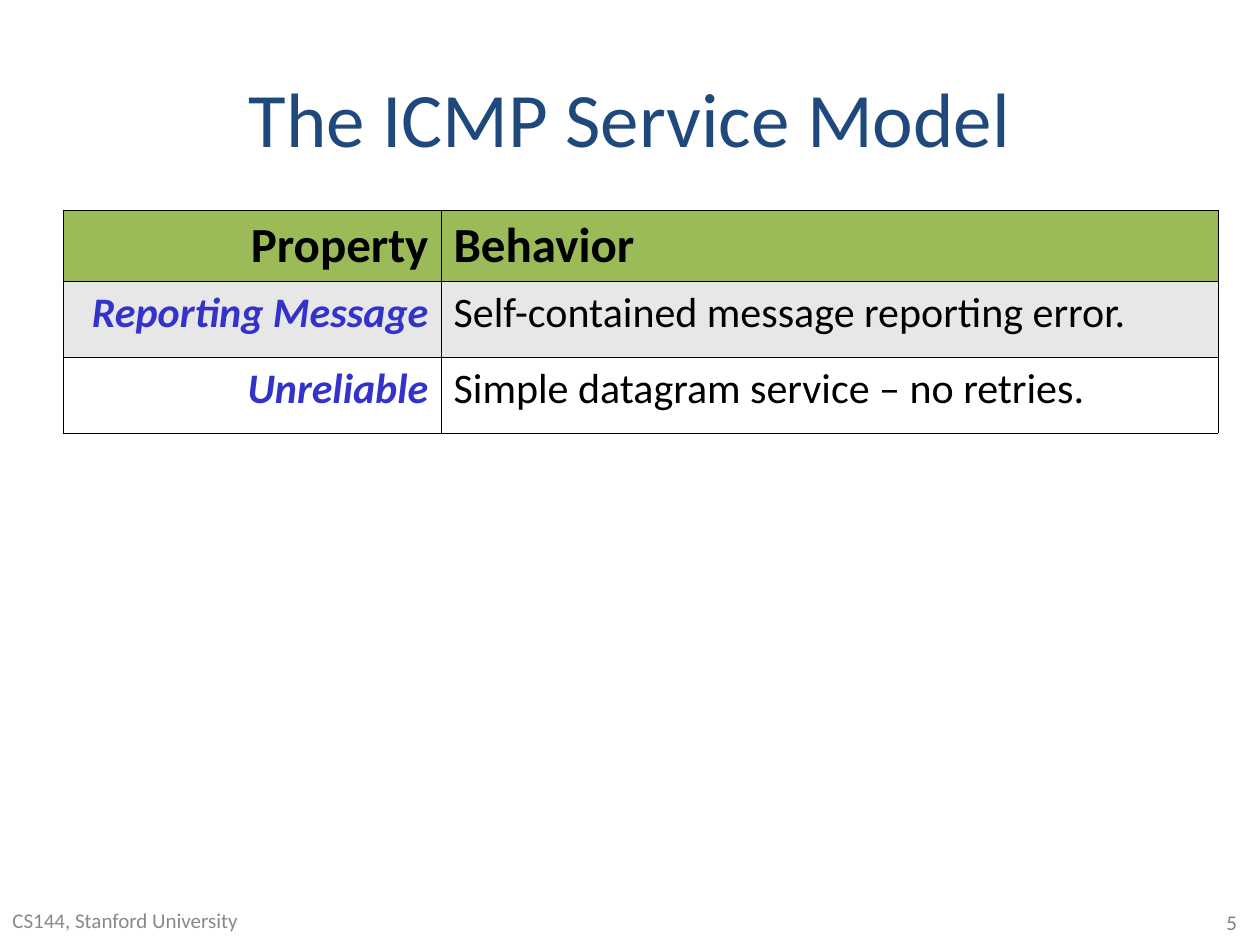
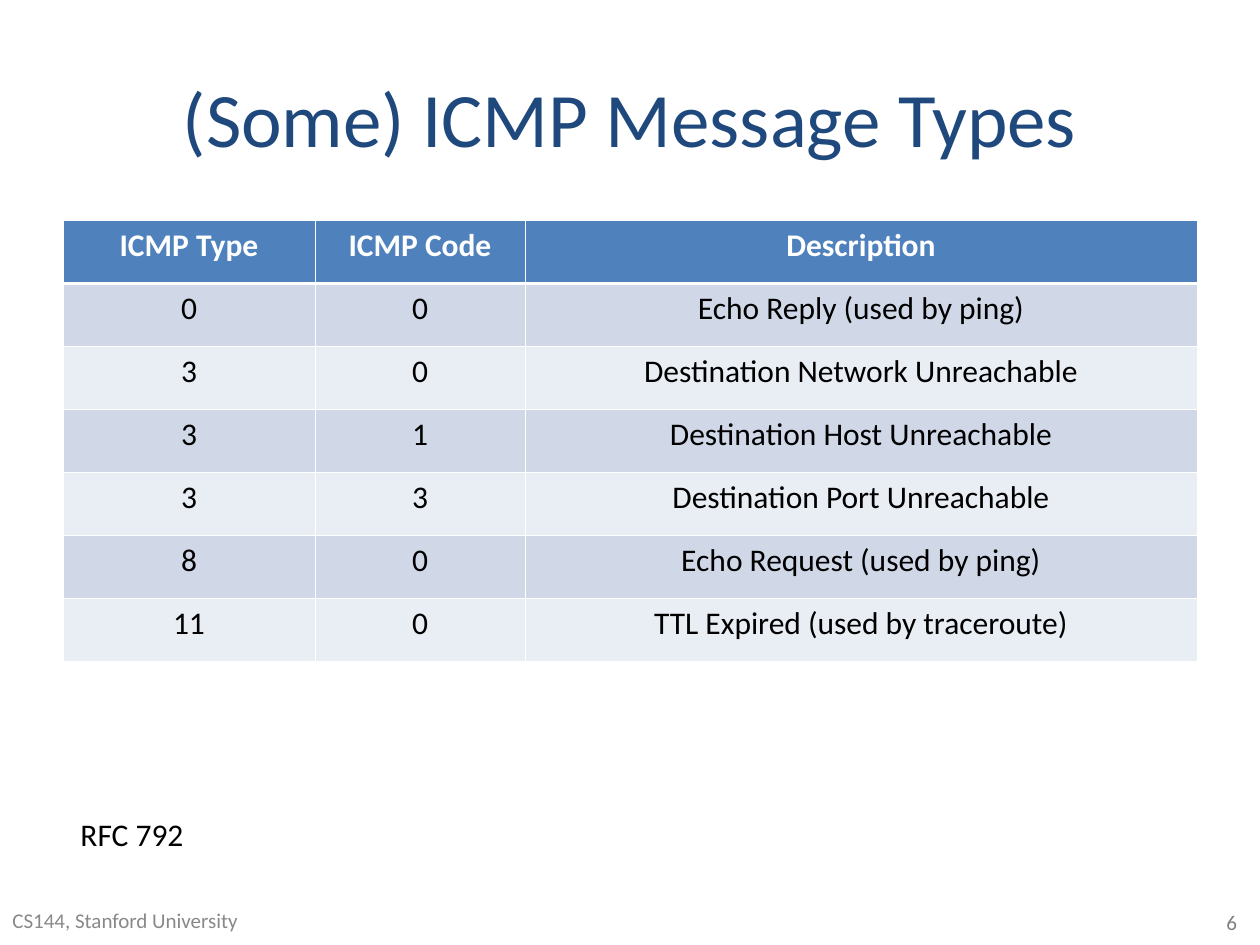
from lxml.etree import SubElement
from pptx import Presentation
from pptx.dml.color import RGBColor
from pptx.enum.text import MSO_ANCHOR as Anchor, PP_ALIGN as Align
from pptx.oxml.ns import qn
from pptx.util import Pt

COLORS = {
    "title": "1F497D", "footer": "898989", "page": "808080",
    "text": "000000", "white": "FFFFFF", "property": "3333CC",
    "green": "9BBB59", "gray": "E7E7E7",
    "blue": "4F81BD", "band_dark": "D0D8E8", "band_light": "E9EDF4",
}
THIN, THICK = 0.45, 1.47


def write(frame, text, size, color, align=Align.LEFT, **font_values):
    paragraph = frame.paragraphs[0]
    paragraph.alignment = align
    run = paragraph.add_run()
    run.text = text
    values = {"name": "Calibri", "size": Pt(size), "bold": False, "italic": False}
    for attribute, value in (values | font_values).items():
        setattr(run.font, attribute, value)
    run.font.color.rgb = RGBColor.from_string(COLORS[color])


def paint_cell(cell, fill, border, **widths):
    """Draw all four borders, THIN unless a side has its own width, then fill."""
    properties = cell._tc.get_or_add_tcPr()
    for side in ("lnL", "lnR", "lnT", "lnB"):
        line = SubElement(properties, qn(f"a:{side}"), w=str(Pt(widths.get(side, THIN))))
        solid = SubElement(line, qn("a:solidFill"))
        SubElement(solid, qn("a:srgbClr"), val=COLORS[border])
    cell.fill.solid()
    cell.fill.fore_color.rgb = RGBColor.from_string(COLORS[fill])


deck = Presentation()
deck.slide_width, deck.slide_height = Pt(720), Pt(540)

# Title, footer and page number on both slides
slides = []
for page, title in enumerate(["The ICMP Service Model", "(Some) ICMP Message Types"], 5):
    slide = deck.slides.add_slide(deck.slide_layouts[6])
    slides.append(slide)
    shared_texts = [
        (str(page), (564, 516, 150, 36), Anchor.TOP, 12, "page", Align.RIGHT),
        (title, (36, 21.6, 648, 90), Anchor.MIDDLE, 44, "title", Align.CENTER),
        ("CS144, Stanford University", (0, 511.2, 228, 28.8), Anchor.MIDDLE, 12, "footer", Align.LEFT),
    ]
    for text, place, anchor, size, color, align in shared_texts:
        frame = slide.shapes.add_textbox(*map(Pt, place)).text_frame
        frame.word_wrap = True
        frame.vertical_anchor = anchor
        write(frame, text, size, color, align)
service_slide, types_slide = slides

# Service model
service_rows = [
    ("Property", "Behavior"),
    ("Reporting Message", "Self-contained message reporting error."),
    ("Unreliable", "Simple datagram service – no retries."),
]
service = service_slide.shapes.add_table(3, 2, Pt(36), Pt(120), Pt(660), Pt(127.4)).table
for column, width in zip(service.columns, (216, 444)):
    column.width = Pt(width)
for row, height in zip(service.rows, (41, 43.2, 43.2)):
    row.height = Pt(height)
for r, (texts, fill) in enumerate(zip(service_rows, ("green", "gray", "white"))):
    is_header = r == 0
    for c, text in enumerate(texts):
        is_property = c == 0
        cell = service.cell(r, c)
        paint_cell(cell, fill, "text")
        write(cell.text_frame, text, 28 if is_header else 24,
              "property" if is_property and not is_header else "text",
              Align.RIGHT if is_property else Align.LEFT,
              bold=is_header or is_property, italic=is_property and not is_header)

# Message types
message_rows = [
    ("ICMP Type", "ICMP Code", "Description"),
    ("0", "0", "Echo Reply (used by ping)"),
    ("3", "0", "Destination Network Unreachable"),
    ("3", "1", "Destination Host Unreachable"),
    ("3", "3", "Destination Port Unreachable"),
    ("8", "0", "Echo Request (used by ping)"),
    ("11", "0", "TTL Expired (used by traceroute)"),
]
messages = types_slide.shapes.add_table(
    len(message_rows), 3, Pt(36), Pt(126), Pt(648), Pt(36 * len(message_rows))).table
for column, width in zip(messages.columns, (144, 120, 384)):
    column.width = Pt(width)
for r, texts in enumerate(message_rows):
    is_header = r == 0
    fill = "blue" if is_header else "band_dark" if r % 2 else "band_light"
    widths = {0: {"lnB": THICK}, 1: {"lnT": THICK}}.get(r, {})
    for c, text in enumerate(texts):
        cell = messages.cell(r, c)
        paint_cell(cell, fill, "white", **widths)
        write(cell.text_frame, text, 18, "white" if is_header else "text",
              Align.CENTER, bold=is_header)

reference = types_slide.shapes.add_textbox(Pt(38.9), Pt(462.2), Pt(73.4), Pt(28.8)).text_frame
reference.word_wrap = False
write(reference, "RFC 792", 18, "text")

deck.save("out.pptx")
